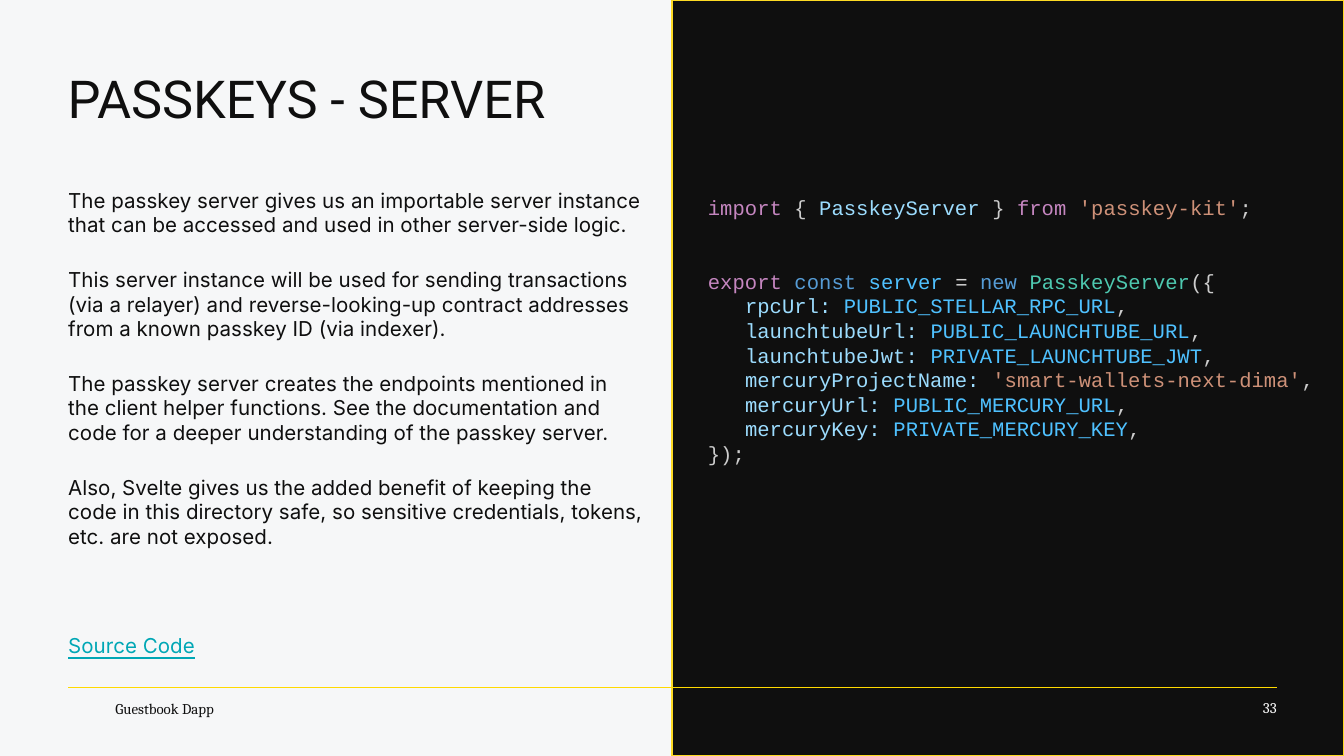
from lxml.etree import SubElement
from pptx import Presentation
from pptx.dml.color import RGBColor
from pptx.enum.shapes import MSO_CONNECTOR, MSO_SHAPE
from pptx.enum.text import MSO_ANCHOR, MSO_AUTO_SIZE, PP_ALIGN
from pptx.oxml.ns import qn
from pptx.util import Cm, Pt

# Colours
PAPER = RGBColor(0xF6, 0xF7, 0xF8)
INK = RGBColor(0x0F, 0x0F, 0x0F)
WHITE = RGBColor(0xFF, 0xFF, 0xFF)
GOLD = RGBColor(0xFD, 0xDA, 0x24)
YELLOW = RGBColor(0xFF, 0xDA, 0x00)
TEAL = RGBColor(0x00, 0xA7, 0xB5)

# Code colours
KEYWORD = RGBColor(0xC5, 0x86, 0xC0)
STORAGE = RGBColor(0x56, 0x9C, 0xD6)
NAME = RGBColor(0x9C, 0xDC, 0xFE)
CONSTANT = RGBColor(0x4F, 0xC1, 0xFF)
TYPE = RGBColor(0x4E, 0xC9, 0xB0)
STRING = RGBColor(0xCE, 0x91, 0x78)
OPERATOR = RGBColor(0xD4, 0xD4, 0xD4)
PLAIN = RGBColor(0xCC, 0xCC, 0xCC)

# Content
TITLE = "PASSKEYS - SERVER"
FOOTER = "Guestbook Dapp"
PAGE_NUMBER = "33"
EXPLANATION = [
    "The passkey server gives us an importable server instance that can be "
    "accessed and used in other server-side logic.",
    "This server instance will be used for sending transactions (via a relayer) "
    "and reverse-looking-up contract addresses from a known passkey ID (via indexer).",
    "The passkey server creates the endpoints mentioned in the client helper "
    "functions. See the documentation and code for a deeper understanding of the "
    "passkey server.",
    "Also, Svelte gives us the added benefit of keeping the code in this directory "
    "safe, so sensitive credentials, tokens, etc. are not exposed.",
]
LINK = "Source Code"

IMPORT_LINE = [("import", KEYWORD), (" { ", PLAIN), ("PasskeyServer", NAME),
               (" } ", PLAIN), ("from", KEYWORD), (" ", PLAIN),
               ("'passkey-kit'", STRING), (";", PLAIN)]
EXPORT_LINE = [("export", KEYWORD), (" ", PLAIN), ("const", STORAGE), (" ", PLAIN),
               ("server", CONSTANT), (" ", PLAIN), ("=", OPERATOR), (" ", PLAIN),
               ("new", STORAGE), (" ", PLAIN), ("PasskeyServer", TYPE), ("({", PLAIN)]
OPTIONS = [
    ("rpcUrl:", "PUBLIC_STELLAR_RPC_URL", CONSTANT),
    ("launchtubeUrl:", "PUBLIC_LAUNCHTUBE_URL", CONSTANT),
    ("launchtubeJwt:", "PRIVATE_LAUNCHTUBE_JWT", CONSTANT),
    ("mercuryProjectName:", "'smart-wallets-next-dima'", STRING),
    ("mercuryUrl:", "PUBLIC_MERCURY_URL", CONSTANT),
    ("mercuryKey:", "PRIVATE_MERCURY_KEY", CONSTANT),
]
CLOSING_LINE = [("});", PLAIN)]

# Spacing in points
PARA_GAP = 16
LINK_GAP = 45.3
CODE_PITCH = 13.2


def set_frame(shape, left, top, width, height, margins=(0, 0, 0, 0),
              anchor=MSO_ANCHOR.TOP):
    """Place a text shape and set its frame, all lengths in centimetres."""
    shape.left, shape.top = Cm(left), Cm(top)
    shape.width, shape.height = Cm(width), Cm(height)
    frame = shape.text_frame
    frame.word_wrap = True
    frame.auto_size = MSO_AUTO_SIZE.NONE
    frame.vertical_anchor = anchor
    (frame.margin_left, frame.margin_top,
     frame.margin_right, frame.margin_bottom) = map(Cm, margins)
    return frame


def add_text(frame, spans, font="Inter", size=11, align=PP_ALIGN.LEFT,
             before=0, pitch=None, underline=None):
    """Write one paragraph of (text, colour) spans, filling an empty first one."""
    first = frame.paragraphs[0]
    para = frame.add_paragraph() if first.runs else first
    para.alignment = align
    if before:
        para.space_before = Pt(before)
    if pitch:
        para.line_spacing = Pt(pitch)
    for text, colour in spans:
        span = para.add_run()
        span.text = text
        span.font.name, span.font.size = font, Pt(size)
        span.font.color.rgb = colour
        span.font.underline = underline


deck = Presentation()
deck.slide_width, deck.slide_height = Cm(25.4), Cm(14.29)
page = deck.slides.add_slide(deck.slide_layouts[5])
page.background.fill.solid()
page.background.fill.fore_color.rgb = PAPER
shapes = page.shapes

# Dark right half
panel = shapes.add_shape(MSO_SHAPE.RECTANGLE, Cm(12.7), 0, Cm(12.7), deck.slide_height)
panel.shadow.inherit = False
panel.fill.solid()
panel.fill.fore_color.rgb = INK
panel.line.color.rgb = GOLD
panel.line.width = Pt(0.75)

# Title
frame = set_frame(shapes.title, 1.28, 1.25, 22.86, 1.2)
add_text(frame, [(TITLE, INK)], font="Roboto", size=28)

# Footer: rule, deck name and page number
rule = shapes.add_connector(MSO_CONNECTOR.STRAIGHT, Cm(1.29), Cm(13), Cm(24.14), Cm(13))
rule.line.color.rgb = YELLOW
rule.line.width = Pt(0.75)
SubElement(rule._element.spPr, qn("a:effectLst"))

frame = set_frame(shapes.add_textbox(0, 0, 0, 0), 2.18, 13.04, 5.97, 0.69,
                  anchor=MSO_ANCHOR.MIDDLE)
add_text(frame, [(FOOTER, INK)], font="Cambria", size=8)
frame = set_frame(shapes.add_textbox(0, 0, 0, 0), 22.61, 12.95, 1.52, 0.86,
                  margins=(0, 0.25, 0, 0.25), anchor=MSO_ANCHOR.MIDDLE)
add_text(frame, [(PAGE_NUMBER, WHITE)], font="Cambria", size=8, align=PP_ALIGN.RIGHT)

# Explanation
frame = set_frame(shapes.add_textbox(0, 0, 0, 0), 1.29, 3.3, 11.15, 9.47,
                  margins=(0, 0.25, 0.25, 0.25))
for index, text in enumerate(EXPLANATION):
    add_text(frame, [(text, INK)], before=PARA_GAP if index else 0)
add_text(frame, [(LINK, TEAL)], before=LINK_GAP, underline=True)

# Code
code_box = shapes.add_textbox(0, 0, 0, 0)
code_box.fill.solid()
code_box.fill.fore_color.rgb = INK
frame = set_frame(code_box, 13.13, 3.43, 12.09, 5.69, margins=(0.25,) * 4)
option_lines = [[("   ", PLAIN), (key, NAME), (" ", PLAIN), (value, colour), (",", PLAIN)]
                for key, value, colour in OPTIONS]
for line in [IMPORT_LINE, EXPORT_LINE, *option_lines, CLOSING_LINE]:
    add_text(frame, line, font="Courier New", pitch=CODE_PITCH,
             before=2 * CODE_PITCH if line is EXPORT_LINE else 0)

deck.save("out.pptx")
